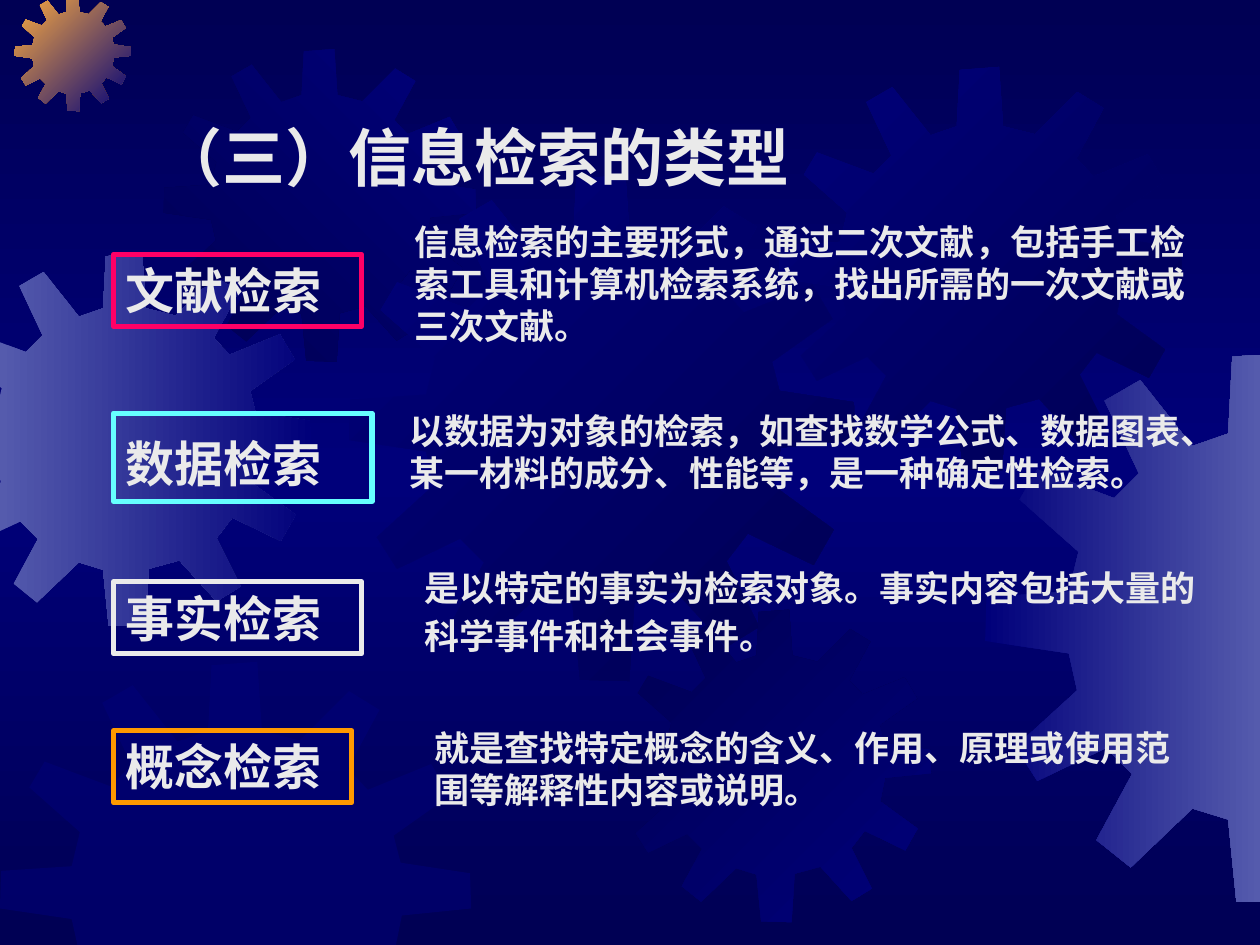
from copy import deepcopy

from lxml.etree import SubElement
from pptx import Presentation
from pptx.dml.color import RGBColor
from pptx.enum.shapes import MSO_SHAPE
from pptx.enum.text import MSO_ANCHOR, MSO_AUTO_SIZE, PP_ALIGN
from pptx.oxml.ns import qn
from pptx.util import Cm, Pt

PAGE_WIDTH, PAGE_HEIGHT = 25.4, 19.05
NAVY, BLUE, LILAC, ORANGE, WHITE = "000054", "00007A", "555BAD", "FCAB40", "EAEAEA"

# Outline of the twelve-toothed gear on a square grid of GEAR_GRID units
GEAR_GRID = 401
GEAR_OUTLINE = [
    (255, 67), (223, 59), (219, 0), (180, 3), (177, 59), (151, 68),
    (113, 20), (87, 35), (112, 88), (94, 106), (38, 85), (25, 107),
    (68, 145), (61, 174), (1, 178), (0, 210), (61, 219), (67, 246),
    (22, 287), (38, 312), (88, 288), (107, 307), (81, 355), (106, 375),
    (151, 332), (177, 340), (183, 400), (222, 401), (226, 339), (259, 330),
    (299, 374), (325, 358), (299, 306), (316, 284), (368, 309), (384, 281),
    (336, 246), (342, 216), (401, 210), (400, 180), (341, 171), (335, 148),
    (383, 114), (367, 87), (313, 109), (296, 91), (323, 41), (297, 25),
]

# Left, top, size in cm; colours; clockwise gradient angle
GEARS = [
    (-1.24, 5.11, 7.52, [LILAC, BLUE], 0),
    (0.3, -0.1, 2.34, [ORANGE, BLUE], 45),
    (3.3, 0.99, 6.3, [NAVY, BLUE], 315),
    (7.04, 3.53, 10.2, [BLUE, NAVY], 45),
    (0, 13.34, 9.5, [BLUE], 0),
    (12.47, 12.29, 6.3, [NAVY, BLUE], 45),
    (15.7, 1.35, 8.13, [BLUE, NAVY], 45),
    (19.86, 7.11, 11.1, [BLUE, LILAC], 0),
]

# Place in cm, frame colour, text, font, size of the closing space
LABELS = [
    ((2.29, 5.13, 5, 1.45), "FF0066", "文献检索", "Times New Roman", None),
    ((2.29, 8.33, 5.21, 1.78), "66FFFF", "数据检索", "Karla", 36),
    ((2.29, 11.73, 5, 1.45), WHITE, "事实检索", "Noto Sans CJK SC", None),
    ((2.29, 14.73, 4.8, 1.45), "FF9900", "概念检索", "Times New Roman", None),
]

# Place in cm, text, line spacing, size of the closing space
NOTES = [
    ((8.1, 4.32, 16.2, 2.8),
     "信息检索的主要形式，通过二次文献，包括手工检索工具和计算机检索系统，找出所需的一次文献或三次文献。",
     None, None),
    ((8, 8.13, 16.9, 1.95),
     "以数据为对象的检索，如查找数学公式、数据图表、某一材料的成分、性能等，是一种确定性检索。",
     None, None),
    ((8.3, 11.53, 16.1, 1.93),
     "是以特定的事实为检索对象。事实内容包括大量的科学事件和社会事件。",
     0.7, 36),
    ((8.5, 14.53, 15.9, 1.95),
     "就是查找特定概念的含义、作用、原理或使用范围等解释性内容或说明。",
     None, None),
]


def color(value):
    return RGBColor.from_string(value)


def apply_format(target, values):
    for name, value in values.items():
        setattr(target, name, value)


def set_gradient(fill, colors, angle):
    fill.gradient()
    fill.gradient_angle = -angle % 360
    for stop, value, position in zip(fill.gradient_stops, colors, (0, 1)):
        stop.color.rgb = color(value)
        stop.position = position


def set_background(page):
    fill = page.background.fill
    set_gradient(fill, [NAVY, BLUE], 90)
    # The third stop repeats the first at the far end
    stops = page.background._cSld.find(".//" + qn("a:gsLst"))
    stops.append(deepcopy(stops[0]))
    for stop, position in zip(fill.gradient_stops, (0, 0.5, 1)):
        stop.position = position


def clip(points, axis, limit, sign):
    """Keep the part of a polygon where sign * (coordinate - limit) >= 0."""
    kept = []
    for start, end in zip(points, points[1:] + points[:1]):
        before, after = (sign * (point[axis] - limit) for point in (start, end))
        if before >= 0:
            kept.append(start)
        if before * after < 0:
            share = before / (before - after)
            kept.append(tuple(a + share * (b - a) for a, b in zip(start, end)))
    return kept


def add_gear(page, left, top, size, colors, angle):
    scale = size / GEAR_GRID
    points = [(left + x * scale, top + y * scale) for x, y in GEAR_OUTLINE]
    for axis, limit in enumerate((PAGE_WIDTH, PAGE_HEIGHT)):
        points = clip(points, axis, 0, 1)
        points = clip(points, axis, limit, -1)
    points = [(Cm(x), Cm(y)) for x, y in points]
    builder = page.shapes.build_freeform(*points[0])
    builder.add_line_segments(points[1:], close=True)
    gear = builder.convert_to_shape()
    gear.shadow.inherit = False
    gear.line.fill.background()
    if len(colors) > 1:
        set_gradient(gear.fill, colors, angle)
    else:
        # A single colour is laid on half transparent
        gear.fill.solid()
        gear.fill.fore_color.rgb = color(colors[0])
        tint = gear._element.spPr.find(".//" + qn("a:srgbClr"))
        SubElement(tint, qn("a:alpha"), val="50000")


def write(box, text, font, size, closing=None, spacing=None,
          anchor=MSO_ANCHOR.TOP, auto_size=MSO_AUTO_SIZE.SHAPE_TO_FIT_TEXT):
    frame = box.text_frame
    apply_format(frame, {"word_wrap": True, "vertical_anchor": anchor,
                         "auto_size": auto_size})
    para = frame.paragraphs[0]
    apply_format(para, {"alignment": PP_ALIGN.LEFT, "line_spacing": spacing})
    spans = [(text, size, True)]
    if closing:
        spans.append((" ", closing, False))
    for words, points, bold in spans:
        span = para.add_run()
        span.text = words
        apply_format(span.font, {"name": font, "size": Pt(points), "bold": bold})
        span.font.color.rgb = color(WHITE)


def add_text(page, place, *content, **options):
    box = page.shapes.add_textbox(*map(Cm, place))
    write(box, *content, **options)


def add_label(page, place, frame_color, text, font, closing):
    box = page.shapes.add_shape(MSO_SHAPE.RECTANGLE, *map(Cm, place))
    box.shadow.inherit = False
    box.fill.background()
    box.line.color.rgb = color(frame_color)
    box.line.width = Pt(3)
    write(box, text, font, 28, closing)


def main():
    deck = Presentation()
    apply_format(deck, {"slide_width": Cm(PAGE_WIDTH), "slide_height": Cm(PAGE_HEIGHT)})
    page = deck.slides.add_slide(deck.slide_layouts[6])

    # Backdrop
    set_background(page)
    for gear in GEARS:
        add_gear(page, *gear)

    # Title
    add_text(page, (2.97, 1.93, 21.6, 2.1), "（三）信息检索的类型", "Arial", 36,
             anchor=MSO_ANCHOR.BOTTOM, auto_size=MSO_AUTO_SIZE.NONE)

    # Search types and their explanations
    for label in LABELS:
        add_label(page, *label)
    for place, text, spacing, closing in NOTES:
        add_text(page, place, text, "Karla", 20, closing, spacing)

    deck.save("out.pptx")


if __name__ == "__main__":
    main()
